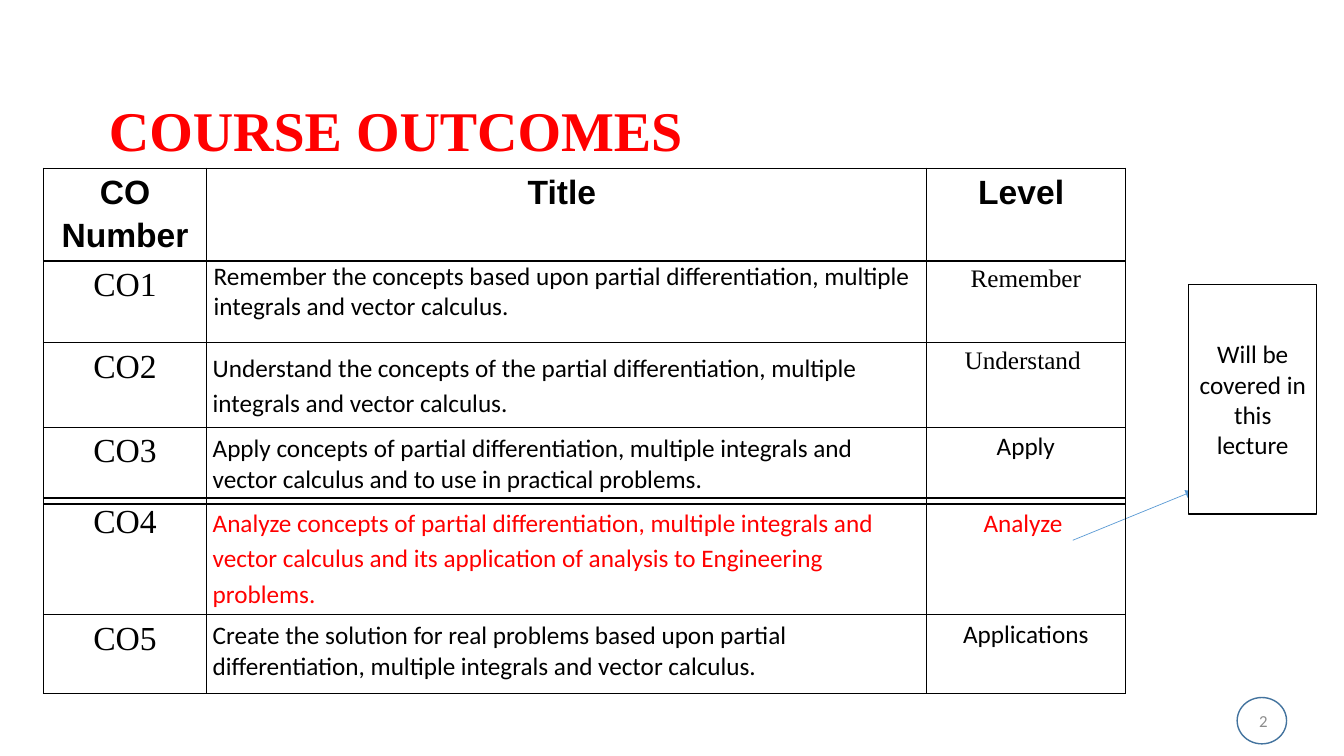
import dataclasses

import pptx
import pptx.dml.color
import pptx.enum.shapes
import pptx.enum.text
import pptx.oxml
import pptx.oxml.ns
import pptx.util

Inches = pptx.util.Inches
Pt = pptx.util.Pt
RGB = pptx.dml.color.RGBColor.from_string
ALIGN = pptx.enum.text.PP_ALIGN
ANCHOR = pptx.enum.text.MSO_ANCHOR
SHAPE = pptx.enum.shapes.MSO_SHAPE


@dataclasses.dataclass(frozen=True)
class Theme:
    black: str = "000000"
    white: str = "FFFFFF"
    red: str = "FF0000"
    grey: str = "8C8C8C"
    ring: str = "43739E"
    arrow: str = "5B9BD5"
    serif: str = "Times New Roman"
    sans: str = "Calibri"
    head: str = "Arial"
    title: int = 40
    large: int = 24
    body: int = 18
    small: int = 12


T = Theme()
COLS = (1.62, 7.14, 1.97)
LEFT = 0.43
WIDE = (0.07, 0, 0.07, 0)
EVEN = (0.06, 0.06, 0.06, 0.06)
LOW = (0.07, 0.06, 0.07, 0)


def write(frame, text, face, size, color=T.black, bold=False,
          align=ALIGN.LEFT, space=None):
    """Put one formatted paragraph in a text frame."""
    para = frame.paragraphs[0]
    para.text = text
    para.alignment = align
    para.line_spacing = space
    font = para.font
    font.name, font.size, font.bold = face, Pt(size), bold
    font.color.rgb = RGB(color)


def border(cell):
    """Draw a thin black line on all four sides of a cell."""
    props = cell._tc.get_or_add_tcPr()
    for i, side in enumerate(("lnL", "lnR", "lnT", "lnB")):
        props.insert(i, pptx.oxml.parse_xml(
            f'<a:{side} {pptx.oxml.ns.nsdecls("a")} w="{Pt(1)}"><a:solidFill>'
            f'<a:srgbClr val="{T.black}"/></a:solidFill></a:{side}>'))


def fill_cell(cell, text, face, size, color=T.black, bold=False,
              align=ALIGN.CENTER, space=1.15, pad=WIDE):
    cell.fill.background()
    border(cell)
    (cell.margin_left, cell.margin_top,
     cell.margin_right, cell.margin_bottom) = map(Inches, pad)
    write(cell.text_frame, text, face, size, color, bold, align, space)


def add_grid(slide, top, heights):
    """Add an unstyled table with the shared column widths."""
    table = slide.shapes.add_table(
        len(heights), len(COLS), Inches(LEFT), Inches(top),
        Inches(sum(COLS)), Inches(sum(heights))).table
    table.first_row = table.horz_banding = False
    for col, width in zip(table.columns, COLS):
        col.width = Inches(width)
    for row, height in zip(table.rows, heights):
        row.height = Inches(height)
    return table


def fill_row(table, row, code, text, level, face=T.sans, color=T.black,
             space=None, pad=EVEN, drop=WIDE):
    """Fill one outcome: its number, description and level."""
    fill_cell(table.cell(row, 0), code, T.serif, T.large)
    fill_cell(table.cell(row, 1), text, T.sans, T.body, color,
              align=ALIGN.LEFT, space=space, pad=pad)
    fill_cell(table.cell(row, 2), level, face, T.body, color, pad=drop)


def add_box(slide, kind, left, top, width, height, line, fill=None):
    box = slide.shapes.add_shape(
        kind, Inches(left), Inches(top), Inches(width), Inches(height))
    box.shadow.inherit = False
    if fill:
        box.fill.solid()
        box.fill.fore_color.rgb = RGB(fill)
    else:
        box.fill.background()
    box.line.color.rgb = RGB(line)
    box.line.width = Pt(1)
    return box


def add_arrow(slide, x1, y1, x2, y2):
    arrow = slide.shapes.add_connector(
        pptx.enum.shapes.MSO_CONNECTOR.STRAIGHT,
        Inches(x1), Inches(y1), Inches(x2), Inches(y2))
    arrow.line.color.rgb = RGB(T.arrow)
    arrow.line.width = Pt(0.5)
    names = pptx.oxml.ns.nsdecls("a")
    arrow.line._get_or_add_ln().append(
        pptx.oxml.parse_xml(f'<a:tailEnd {names} type="triangle"/>'))
    arrow._element.spPr.append(pptx.oxml.parse_xml(f'<a:effectLst {names}/>'))


def add_title(slide, text):
    title = slide.shapes.title
    title.left, title.top = Inches(0.98), Inches(0.9)
    title.width, title.height = Inches(7.76), Inches(0.77)
    title.text_frame.vertical_anchor = ANCHOR.BOTTOM
    write(title.text_frame, text, T.serif, T.title, T.red, True, space=0.9)


def add_number(slide, text):
    box = slide.shapes.add_textbox(
        Inches(9.67), Inches(6.95), Inches(3), Inches(0.4))
    box.text_frame.word_wrap = True
    box.text_frame.vertical_anchor = ANCHOR.MIDDLE
    write(box.text_frame, text, T.sans, T.small, T.grey, align=ALIGN.RIGHT)
    add_box(slide, SHAPE.OVAL, 12.27, 6.92, 0.49, 0.46, T.ring)


def main():
    deck = pptx.Presentation()
    deck.slide_width, deck.slide_height = Inches(13.33), Inches(7.5)
    slide = deck.slides.add_slide(deck.slide_layouts[5])

    # Title and slide number
    add_title(slide, "COURSE OUTCOMES")
    add_number(slide, "2")

    # Outcomes 1 to 3
    upper = add_grid(slide, 1.67, (0.92, 0.81, 0.84, 0.76))
    for col, name in enumerate(("CO Number", "Title ", "Level ")):
        fill_cell(upper.cell(0, col), name, T.head, T.large, bold=True)
    fill_row(upper, 1, "CO1",
             "Remember the concepts based upon partial differentiation, "
             "multiple integrals and vector calculus.",
             "Remember", face=T.serif, pad=WIDE)
    fill_row(upper, 2, "CO2",
             "Understand the concepts of the partial differentiation, "
             "multiple integrals and vector calculus.",
             "Understand ", face=T.serif, space=1.15)
    fill_row(upper, 3, "CO3",
             "Apply concepts of partial differentiation, multiple integrals "
             "and vector calculus and to use in practical problems.",
             "Apply")

    # Note on what this lecture covers
    add_arrow(slide, 10.64, 5.36, 11.84, 4.87)
    note = add_box(slide, SHAPE.RECTANGLE, 11.79, 2.82, 1.27, 2.28,
                   T.black, T.white)
    note.text_frame.word_wrap = True
    note.text_frame.vertical_anchor = ANCHOR.MIDDLE
    write(note.text_frame, "Will be covered in this lecture", T.sans, T.body,
          align=ALIGN.CENTER)

    # Outcomes 4 and 5
    lower = add_grid(slide, 4.94, (1.16, 0.78))
    fill_row(lower, 0, "CO4",
             "Analyze concepts of partial differentiation, multiple integrals "
             "and vector calculus and its application of analysis to "
             "Engineering problems.",
             "Analyze ", color=T.red, space=1.15, drop=LOW)
    fill_row(lower, 1, "CO5",
             "Create the solution for real problems based upon partial "
             "differentiation, multiple integrals and vector calculus.",
             "Applications")

    deck.save("out.pptx")


if __name__ == "__main__":
    main()
